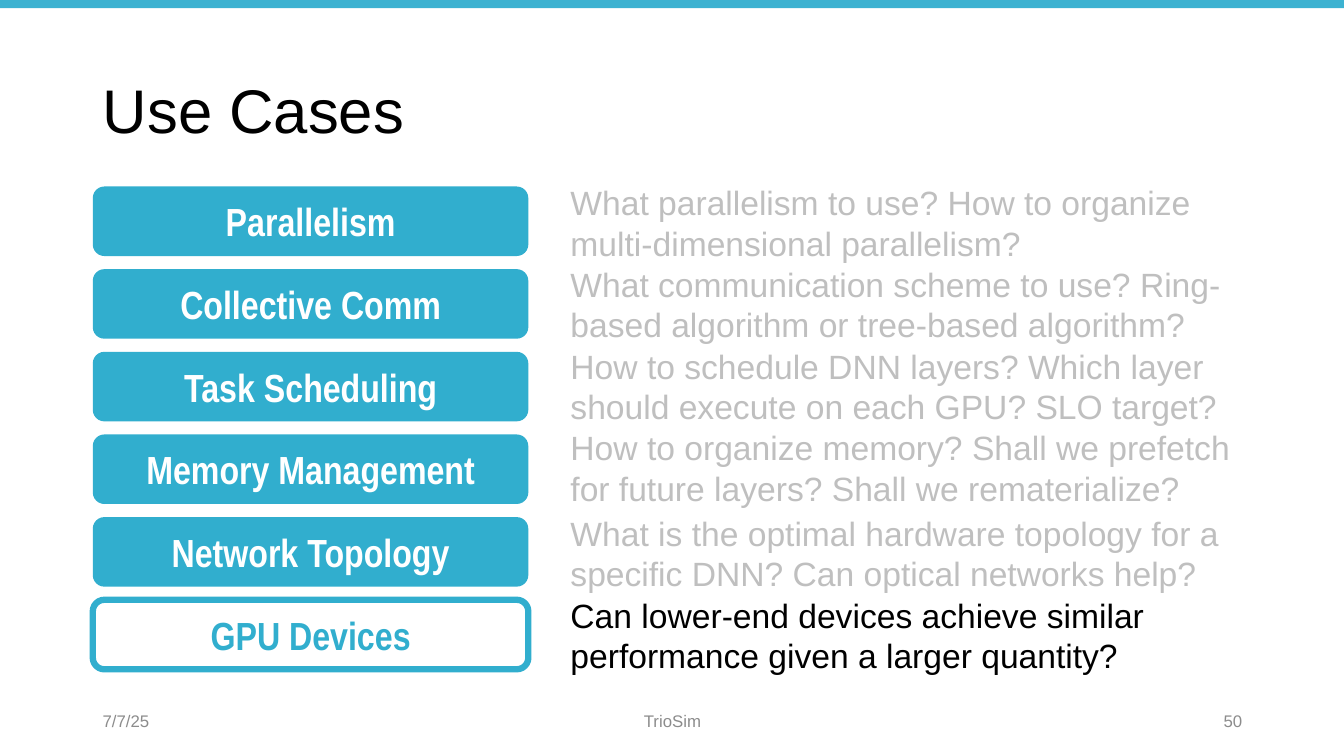
from pptx import Presentation
from pptx.dml.color import RGBColor
from pptx.enum.shapes import MSO_SHAPE
from pptx.enum.text import MSO_ANCHOR, PP_ALIGN
from pptx.util import Pt

LEFT, MID, RIGHT = PP_ALIGN.LEFT, PP_ALIGN.CENTER, PP_ALIGN.RIGHT
TOP, CENTER = MSO_ANCHOR.TOP, MSO_ANCHOR.MIDDLE
RECT, ROUND = MSO_SHAPE.RECTANGLE, MSO_SHAPE.ROUNDED_RECTANGLE

TITLE = "Use Cases"
CASES = [
    ("Parallelism", 176,
     "What parallelism to use? How to organize multi-dimensional parallelism?"),
    ("Collective Comm", 257,
     "What communication scheme to use? Ring-based algorithm or tree-based algorithm?"),
    ("Task Scheduling", 338,
     "How to schedule DNN layers? Which layer should execute on each GPU? SLO target?"),
    ("Memory Management", 419,
     "How to organize memory? Shall we prefetch for future layers? Shall we rematerialize?"),
    ("Network Topology", 504,
     "What is the optimal hardware topology for a specific DNN? Can optical networks help?"),
    ("GPU Devices", 585,
     "Can lower-end devices achieve similar performance given a larger quantity?"),
]
ACTIVE = "GPU Devices"
FOOT = [("7/7/25", 92, 300, LEFT), ("TrioSim", 442, 450, MID), ("50", 942, 300, RIGHT)]

BLUE, BAR, WHITE, BLACK = "31AECE", "3CB2D1", "FFFFFF", "000000"
DIM, GRAY = "BFBFBF", "8C8C8C"
HEAD = {"name": "Arial", "size": Pt(44), "bold": False}
BODY = {"name": "Arial", "size": Pt(24)}
LABEL = {"name": "Arial Narrow", "size": Pt(28), "bold": True}
SMALL = {"name": "Arial", "size": Pt(12)}
PX = 9144
CARD_TOP, PITCH = 185, 82


def scale(*vals):
    return [v * PX for v in vals]


def color(code):
    return RGBColor.from_string(code)


def write(shape, text, font, ink, align=LEFT, anchor=CENTER):
    frame = shape.text_frame
    frame.word_wrap = True
    frame.vertical_anchor = anchor
    para = frame.paragraphs[0]
    para.alignment = align
    run = para.add_run()
    run.text = text
    for key, val in font.items():
        setattr(run.font, key, val)
    run.font.color.rgb = color(ink)
    return para


def block(slide, kind, box, fill):
    shape = slide.shapes.add_shape(kind, *scale(*box))
    shape.shadow.inherit = False
    shape.fill.solid()
    shape.fill.fore_color.rgb = color(fill)
    shape.line.fill.background()
    return shape


def main():
    deck = Presentation()
    deck.slide_width, deck.slide_height = scale(1333, 750)
    slide = deck.slides.add_slide(deck.slide_layouts[5])
    block(slide, RECT, (0, 0, 1333, 8), BAR)

    title = slide.shapes.title
    title.left, title.top, title.width, title.height = scale(92, 40, 1150, 145)
    write(title, TITLE, HEAD, BLACK).line_spacing = 0.9

    for row, (name, top, ask) in enumerate(CASES):
        live = name == ACTIVE
        card = block(slide, ROUND, (92, CARD_TOP + row * PITCH, 432, 69),
                     WHITE if live else BLUE)
        if live:
            card.line.color.rgb = color(BLUE)
            card.line.width = Pt(4.5)
        write(card, name, LABEL, BLUE if live else WHITE, MID)
        note = slide.shapes.add_textbox(*scale(556, top, 686, 91))
        write(note, ask, BODY, BLACK if live else DIM, anchor=TOP)

    for text, left, width, align in FOOT:
        foot = slide.shapes.add_textbox(*scale(left, 695, width, 40))
        write(foot, text, SMALL, GRAY, align)

    deck.save("out.pptx")


if __name__ == "__main__":
    main()
